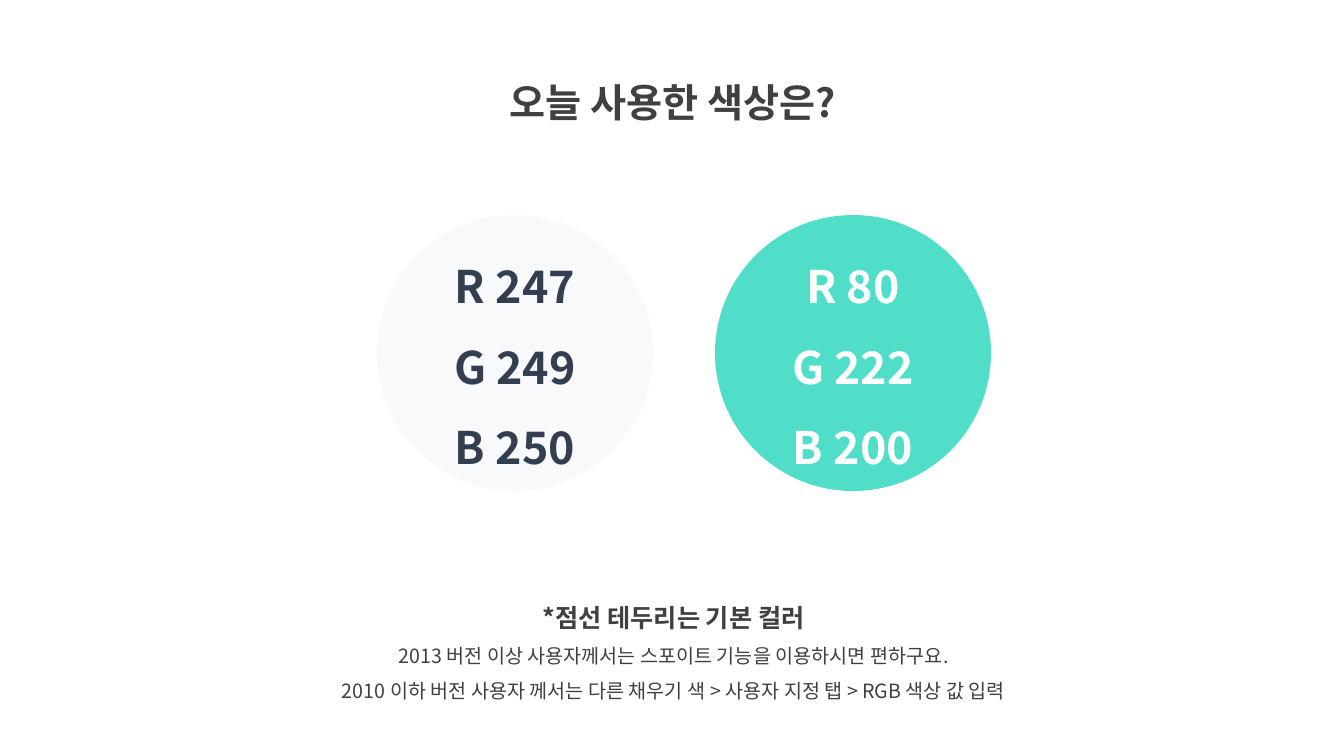
import pptx
import pptx.util
import pptx.dml.color
import pptx.enum.shapes
import pptx.enum.text
import pptx.oxml.ns
import lxml.etree

FONT = "Noto Sans CJK KR"
COLORS = {"ink": "404040", "navy": "333F50", "white": "FFFFFF",
          "mist": "F7F9FA", "mint": "50DEC8"}

TEXTS = [
    {"box": (439, 50, 467, 73), "lines": [("오늘 사용한 색상은?", 28, True)]},
    {"box": (271, 582, 805, 127), "lines": [
        ("*점선 테두리는 기본 컬러", 18, True),
        ("2013 버전 이상 사용자께서는 스포이트 기능을 이용하시면 편하구요.", 14, False),
        ("2010 이하 버전 사용자 께서는 다른 채우기 색 > 사용자 지정 탭 > RGB 색상 값 입력", 14, False),
    ]},
]
SWATCHES = [
    ("mist", "navy", ("R 247", "G 249", "B 250")),
    ("mint", "white", ("R 80", "G 222", "B 200")),
]
SLIDE_SIZE = (1344, 756)
SWATCH_LEFT, SWATCH_TOP, SWATCH_SIZE, SWATCH_PITCH = 377, 215, 276, 338
EMU_PER_PX = 914400 / 100.8


def px(*lengths):
    return [pptx.util.Emu(round(length * EMU_PER_PX)) for length in lengths]


def rgb(name):
    return pptx.dml.color.RGBColor.from_string(COLORS[name])


def write_lines(frame, lines, color):
    frame.word_wrap = True
    for index, (words, size, bold) in enumerate(lines):
        paragraph = frame.paragraphs[0] if index == 0 else frame.add_paragraph()
        paragraph.alignment = pptx.enum.text.PP_ALIGN.CENTER
        paragraph.line_spacing = 1.5
        run = paragraph.add_run()
        run.text = words
        formats = {"name": FONT, "size": pptx.util.Pt(size), "bold": bold}
        for attribute, value in formats.items():
            setattr(run.font, attribute, value)
        run.font.color.rgb = rgb(color)
        east_asian = lxml.etree.SubElement(
            run.font._element, pptx.oxml.ns.qn("a:ea"))
        east_asian.set("typeface", FONT)


def main():
    deck = pptx.Presentation()
    deck.slide_width, deck.slide_height = px(*SLIDE_SIZE)
    slide = deck.slides.add_slide(deck.slide_layouts[6])

    for text in TEXTS:
        frame = slide.shapes.add_textbox(*px(*text["box"])).text_frame
        write_lines(frame, text["lines"], "ink")
        frame.auto_size = pptx.enum.text.MSO_AUTO_SIZE.SHAPE_TO_FIT_TEXT

    for index, (fill, ink, channels) in enumerate(SWATCHES):
        left = SWATCH_LEFT + index * SWATCH_PITCH
        swatch = slide.shapes.add_shape(
            pptx.enum.shapes.MSO_SHAPE.OVAL,
            *px(left, SWATCH_TOP, SWATCH_SIZE, SWATCH_SIZE))
        swatch.shadow.inherit = False
        swatch.fill.solid()
        swatch.fill.fore_color.rgb = rgb(fill)
        swatch.line.fill.background()
        swatch.text_frame.vertical_anchor = pptx.enum.text.MSO_ANCHOR.MIDDLE
        write_lines(swatch.text_frame, [(channel, 32, True) for channel in channels], ink)

    deck.save("out.pptx")


if __name__ == "__main__":
    main()
